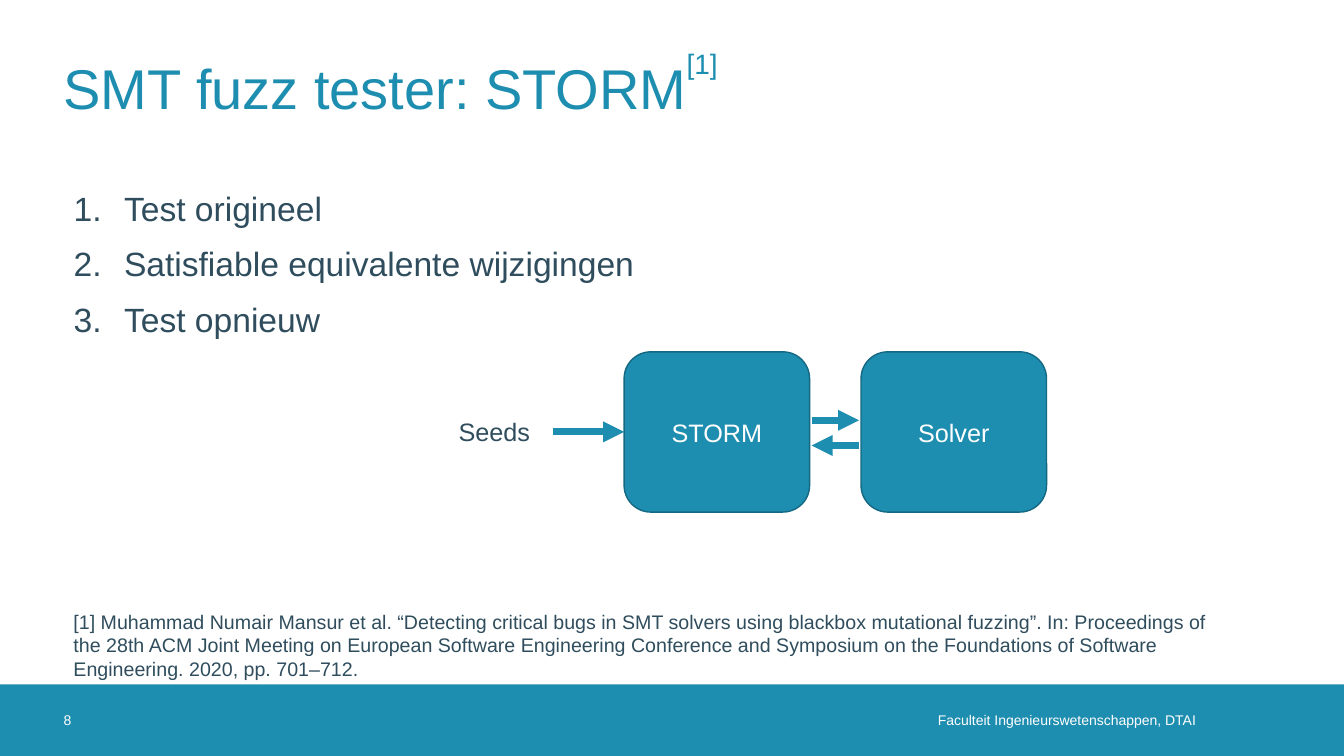
from dataclasses import dataclass

from pptx import Presentation
from pptx.dml.color import RGBColor
from pptx.enum.shapes import MSO_CONNECTOR as Connector, MSO_SHAPE as Shape
from pptx.enum.text import MSO_ANCHOR as Anchor, MSO_AUTO_SIZE as AutoSize, PP_ALIGN as Align
from pptx.oxml.ns import qn
from pptx.util import Inches, Pt
from lxml.etree import SubElement


@dataclass(frozen=True)
class Theme:
    font: str = "Arial"
    accent: RGBColor = RGBColor(0x1D, 0x8D, 0xB0)
    outline: RGBColor = RGBColor(0x15, 0x68, 0x82)
    text: RGBColor = RGBColor(0x2F, 0x4D, 0x5D)
    white: RGBColor = RGBColor(0xFF, 0xFF, 0xFF)
    title_size: int = 40
    body_size: int = 24
    mark_size: int = 20
    label_size: int = 18
    citation_size: int = 14
    footer_size: int = 10


class SlideBuilder:
    def __init__(self, presentation, theme):
        self.theme = theme
        self.slide = presentation.slides.add_slide(presentation.slide_layouts[1])

    def place(self, shape, box):
        shape.left, shape.top, shape.width, shape.height = map(Inches, box)

    def set_text(self, shape, text, size, color, align=Align.LEFT, anchor=Anchor.TOP, insets=None):
        frame = shape.text_frame
        frame.text = text
        frame.word_wrap = True
        frame.auto_size = AutoSize.NONE
        frame.vertical_anchor = anchor
        if insets:
            (frame.margin_left, frame.margin_top,
             frame.margin_right, frame.margin_bottom) = map(Inches, insets)
        for paragraph in frame.paragraphs:
            paragraph.alignment = align
            for run in paragraph.runs:
                run.font.name = self.theme.font
                run.font.size = Pt(size)
                run.font.color.rgb = color

    def title(self, text, box):
        shape = self.slide.shapes.title
        self.place(shape, box)
        self.set_text(shape, text, self.theme.title_size, self.theme.accent,
                      anchor=Anchor.MIDDLE, insets=(0, 0, 0, 0))

    def numbered_list(self, items, box):
        shape = self.slide.placeholders[1]
        self.place(shape, box)
        self.set_text(shape, "\n".join(items), self.theme.body_size, self.theme.text)
        for index, paragraph in enumerate(shape.text_frame.paragraphs):
            paragraph.space_before = Pt(11 if index else 0)
            properties = paragraph._p.get_or_add_pPr()
            properties.set("marL", str(Inches(0.5)))
            properties.set("indent", str(Inches(-0.5)))
            SubElement(properties, qn("a:buFont"), typeface="+mj-lt")
            SubElement(properties, qn("a:buAutoNum"), type="arabicPeriod")

    def text(self, text, box, size, color, **layout):
        shape = self.slide.shapes.add_textbox(*map(Inches, box))
        self.set_text(shape, text, size, color, **layout)
        return shape

    def block(self, kind, box, outline=None):
        shape = self.slide.shapes.add_shape(kind, *map(Inches, box))
        shape.shadow.inherit = False
        shape.fill.solid()
        shape.fill.fore_color.rgb = self.theme.accent
        if outline is None:
            shape.line.fill.background()
        else:
            shape.line.color.rgb = outline
            shape.line.width = Pt(1)
        return shape

    def node(self, text, box):
        shape = self.block(Shape.ROUNDED_RECTANGLE, box, self.theme.outline)
        self.set_text(shape, text, self.theme.label_size, self.theme.white,
                      align=Align.CENTER, anchor=Anchor.MIDDLE)
        return shape

    def arrow(self, start_x, end_x, y):
        connector = self.slide.shapes.add_connector(
            Connector.STRAIGHT, Inches(start_x), Inches(y), Inches(end_x), Inches(y))
        connector.line.color.rgb = self.theme.accent
        connector.line.width = Pt(5)
        SubElement(connector.line._get_or_add_ln(), qn("a:tailEnd"), type="triangle")
        SubElement(connector._element.spPr, qn("a:effectLst"))
        return connector


def main():
    presentation = Presentation()
    presentation.slide_width, presentation.slide_height = Inches(13.33), Inches(7.5)
    theme = Theme()
    builder = SlideBuilder(presentation, theme)
    left, footer_top, footer_height = 0.63, 6.79, 0.71

    builder.block(Shape.RECTANGLE, (0, footer_top, 13.33, footer_height))
    builder.text("Faculteit Ingenieurswetenschappen, DTAI", (6.6, footer_top, 5.46, footer_height),
                 theme.footer_size, theme.white, align=Align.RIGHT, anchor=Anchor.MIDDLE,
                 insets=(0, 0, 0.2, 0))
    builder.text("8", (left, footer_top, 0.71, footer_height), theme.footer_size, theme.white,
                 anchor=Anchor.MIDDLE, insets=(0, 0, 0, 0))

    builder.title("SMT fuzz tester: STORM", (left, 0.23, 12.07, 1.26))
    builder.text("[1]", (6.81, 0, 0.93, 1.26), theme.mark_size, theme.accent,
                 anchor=Anchor.MIDDLE, insets=(0, 0, 0, 0))
    builder.numbered_list(
        ["Test origineel", "Satisfiable equivalente wijzigingen", "Test opnieuw"],
        (left, 1.81, 11.97, 2.98))

    seeds = builder.text("Seeds", (4.45, 4.08, 1.03, 0.41), theme.label_size, theme.text)
    storm, solver = [builder.node(name, (x, 3.49, 1.84, 1.59))
                     for name, x in (("STORM", 6.19), ("Solver", 8.54))]
    feed = builder.arrow(5.48, 6.19, 4.28)
    feed.begin_connect(seeds, 3)
    feed.end_connect(storm, 1)
    builder.arrow(8.05, 8.52, 4.17)
    builder.arrow(8.52, 8.05, 4.42)

    builder.text(
        "[1] Muhammad Numair Mansur et al. “Detecting critical bugs in SMT solvers using "
        "blackbox mutational fuzzing”. In: Proceedings of the 28th ACM Joint Meeting on "
        "European Software Engineering Conference and Symposium on the Foundations of "
        "Software Engineering. 2020, pp. 701–712.",
        (left, 6, 11.55, 0.81), theme.citation_size, theme.text)

    presentation.save("out.pptx")


if __name__ == "__main__":
    main()
